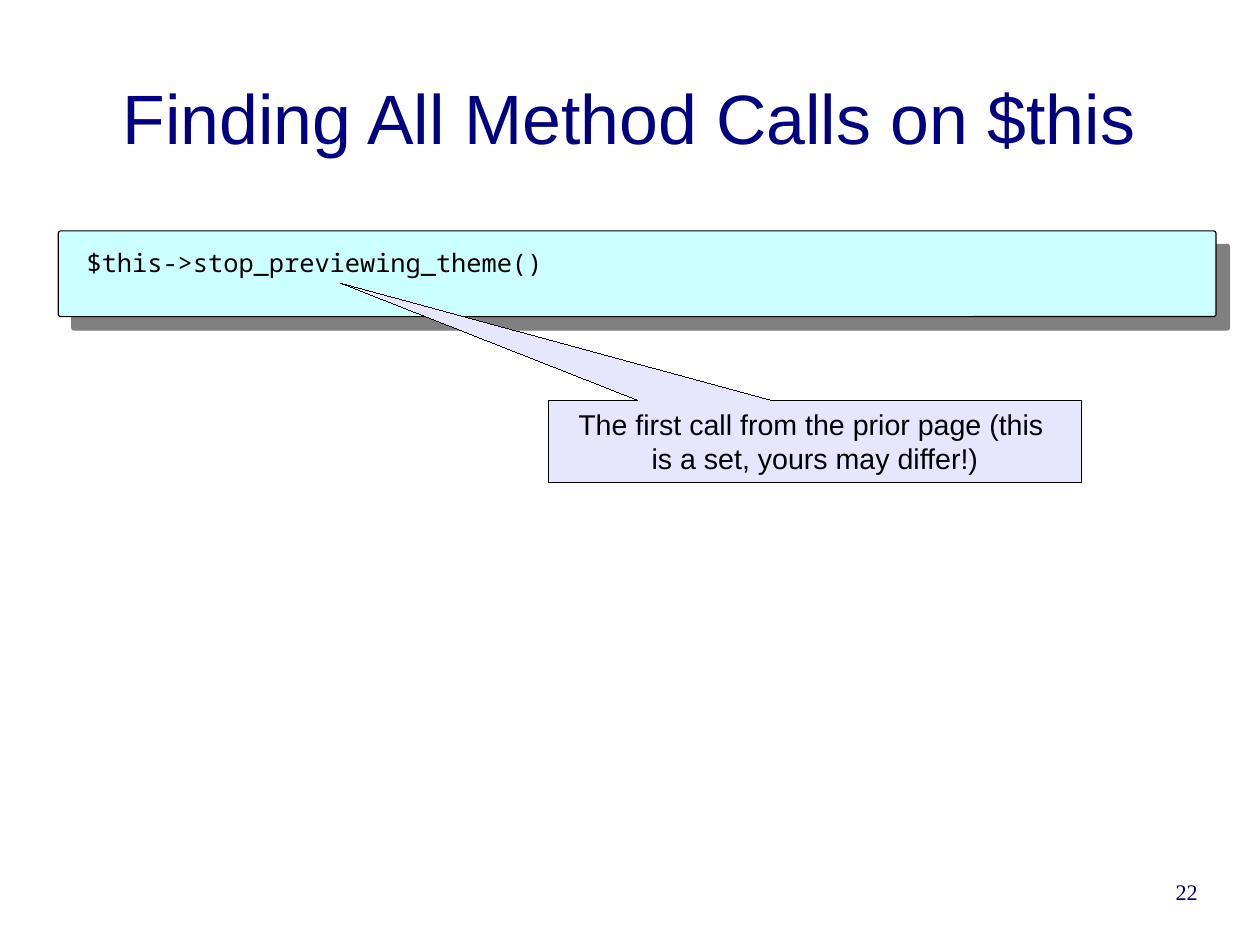
from dataclasses import dataclass

from lxml.etree import SubElement
from pptx import Presentation
from pptx.dml.color import RGBColor
from pptx.enum.shapes import MSO_SHAPE
from pptx.enum.text import MSO_ANCHOR, PP_ALIGN
from pptx.oxml.ns import qn
from pptx.shapes.autoshape import Shape
from pptx.slide import Slide
from pptx.util import Inches, Pt


@dataclass(frozen=True)
class Theme:
    navy: str = "000080"
    black: str = "000000"
    code_fill: str = "CCFFFF"
    note_fill: str = "E6E6FF"
    shade: str = "808080"
    sans: str = "Arial"
    mono: str = "Noto Sans Mono"
    serif: str = "Times New Roman"
    title_size: int = 44
    note_size: int = 18
    code_size: int = 16
    page_size: int = 14


@dataclass(frozen=True)
class Box:
    left: float
    top: float
    width: float
    height: float

    def lengths(self) -> tuple[Inches, ...]:
        return tuple(Inches(v) for v in (self.left, self.top, self.width, self.height))


@dataclass(frozen=True)
class Panel:
    kind: MSO_SHAPE
    box: Box
    fill: str
    line: float
    adjust: tuple[float, ...]


THEME = Theme()
CM_PER_INCH = 2.54
TITLE = Box(0.55, 0.33, 9.92, 1.38)
CODE = Box(0.66, 2.11, 9.94, 3.67)
PAGE = Box(7.91, 7.68, 2.57, 0.57)
CODE_PANEL = Panel(MSO_SHAPE.ROUNDED_RECTANGLE, Box(0.51, 2.02, 10.13, 0.75),
                   THEME.code_fill, 0.75, (0.03,))
NOTE_PANEL = Panel(MSO_SHAPE.RECTANGULAR_CALLOUT, Box(4.8, 3.5, 4.66, 0.72),
                   THEME.note_fill, 0, (-0.89, -1.92))


def write(shape: Shape, *lines: str, font: str, size: int, color: str = THEME.black,
          align: PP_ALIGN = PP_ALIGN.LEFT, anchor: MSO_ANCHOR = MSO_ANCHOR.TOP,
          inset: tuple[float, float] = (0, 0), wrap: bool = True) -> None:
    """Fill a shape with one paragraph per line; inset is (sides, top and bottom)."""
    frame = shape.text_frame
    frame.word_wrap = wrap
    frame.vertical_anchor = anchor
    frame.margin_left = frame.margin_right = Inches(inset[0])
    frame.margin_top = frame.margin_bottom = Inches(inset[1])
    frame.text = "\n".join(lines)
    for para in frame.paragraphs:
        para.alignment = align
        para.font.name = font
        para.font.size = Pt(size)
        para.font.color.rgb = RGBColor.from_string(color)


def draw_panel(slide: Slide, panel: Panel) -> Shape:
    """Draw a filled panel; its line width is set in XML so that 0 is a hairline."""
    shape = slide.shapes.add_shape(panel.kind, *panel.box.lengths())
    shape.shadow.inherit = False
    for i, value in enumerate(panel.adjust):
        shape.adjustments[i] = value
    shape.fill.solid()
    shape.fill.fore_color.rgb = RGBColor.from_string(panel.fill)
    shape.line.color.rgb = RGBColor.from_string(THEME.black)
    shape.element.spPr.find(qn("a:ln")).set("w", str(Pt(panel.line)))
    return shape


def cast_shadow(shape: Shape, color: str, points: float, angle: int) -> None:
    effects = shape.element.spPr.find(qn("a:effectLst"))
    shadow = SubElement(effects, qn("a:outerShdw"), blurRad="0",
                        dist=str(Pt(points)), dir=str(angle * 60000),
                        algn="tl", rotWithShape="0")
    SubElement(shadow, qn("a:srgbClr"), val=color)


def place_title(slide: Slide, text: str) -> None:
    title = slide.shapes.title
    title.left, title.top, title.width, title.height = TITLE.lengths()
    write(title, text, font=THEME.sans, size=THEME.title_size, color=THEME.navy,
          align=PP_ALIGN.CENTER, anchor=MSO_ANCHOR.MIDDLE)


def main() -> None:
    deck = Presentation()
    deck.slide_width = round(Inches(28) / CM_PER_INCH)
    deck.slide_height = round(Inches(21) / CM_PER_INCH)
    slide = deck.slides.add_slide(deck.slide_layouts[5])
    inset = (0.1, 0.05)

    place_title(slide, "Finding All Method Calls on $this")

    cast_shadow(draw_panel(slide, CODE_PANEL), THEME.shade, points=12, angle=45)
    code = slide.shapes.add_textbox(*CODE.lengths())
    write(code, "$this->stop_previewing_theme()", font=THEME.mono,
          size=THEME.code_size, inset=inset)

    note = draw_panel(slide, NOTE_PANEL)
    write(note, "The first call from the prior page (this ", "is a set, yours may differ!)",
          font=THEME.sans, size=THEME.note_size, align=PP_ALIGN.CENTER,
          anchor=MSO_ANCHOR.MIDDLE, inset=inset, wrap=False)

    page = slide.shapes.add_textbox(*PAGE.lengths())
    write(page, "22", font=THEME.serif, size=THEME.page_size, color=THEME.navy,
          align=PP_ALIGN.RIGHT)

    deck.save("out.pptx")


if __name__ == "__main__":
    main()
